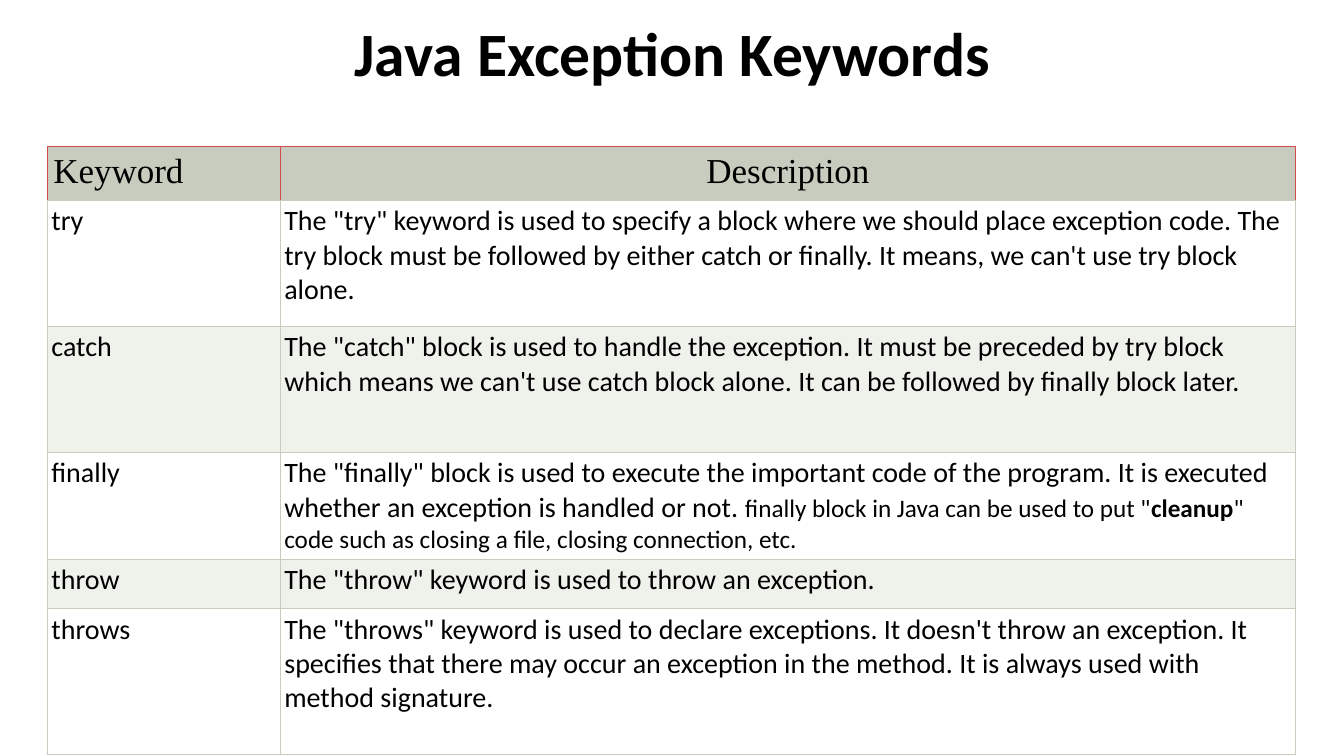
from typing import NamedTuple

from lxml import etree
from pptx import Presentation
from pptx.dml.color import RGBColor
from pptx.enum.text import MSO_ANCHOR, PP_ALIGN
from pptx.oxml.ns import qn
from pptx.util import Inches, Pt

LEFT, CENTER = PP_ALIGN.LEFT, PP_ALIGN.CENTER
MIDDLE = MSO_ANCHOR.MIDDLE
BLACK, WHITE, SAGE, PALE, RED = "000000", "FFFFFF", "C7CCBE", "EFF1EB", "D04C4A"
SIDES = ("lnL", "lnR", "lnT", "lnB")


class Run(NamedTuple):
    text: str
    size: float = 20
    bold: bool = False
    face: str = "Calibri"


class Row(NamedTuple):
    height: float
    word: list[Run]
    about: list[Run]


def color(code: str) -> RGBColor:
    return RGBColor.from_string(code)


def write(para, runs: list[Run], align) -> None:
    para.alignment = align
    for item in runs:
        run = para.add_run()
        run.text = item.text
        form = {"size": Pt(item.size), "bold": item.bold, "name": item.face}
        for key, value in form.items():
            setattr(run.font, key, value)
        run.font.color.rgb = color(BLACK)


def border(cell, codes: tuple[str, ...]) -> None:
    props = cell._tc.get_or_add_tcPr()
    for side, code in zip(SIDES, codes):
        line = etree.SubElement(props, qn(f"a:{side}"), w=str(Pt(0.75)))
        fill = etree.SubElement(line, qn("a:solidFill"))
        etree.SubElement(fill, qn("a:srgbClr"), val=code)


def draw_cell(cell, runs: list[Run], align, pad: float, fill: str,
              edges: tuple[str, ...]) -> None:
    for side in ("left", "right", "top", "bottom"):
        setattr(cell, f"margin_{side}", Inches(pad))
    border(cell, edges)
    cell.fill.solid()
    cell.fill.fore_color.rgb = color(fill)
    write(cell.text_frame.paragraphs[0], runs, align)


def draw_title(slide, text: str) -> None:
    box = slide.shapes.add_textbox(Inches(0.92), Inches(0.15), Inches(11.5), Inches(0.82))
    frame = box.text_frame
    form = {"word_wrap": True, "vertical_anchor": MIDDLE}
    for key, value in form.items():
        setattr(frame, key, value)
    para = frame.paragraphs[0]
    para.line_spacing = 0.9
    write(para, [Run(text, 44, True)], CENTER)


def draw_table(slide, rows: list[Row], widths: tuple[float, ...]) -> None:
    high = sum(row.height for row in rows)
    table = slide.shapes.add_table(len(rows), len(widths), Inches(0.47), Inches(1.45),
                                   Inches(sum(widths)), Inches(high)).table
    for key in ("first_row", "horz_banding"):
        setattr(table, key, False)
    for col, width in zip(table.columns, widths):
        col.width = Inches(width)
    for num, row in enumerate(rows):
        table.rows[num].height = Inches(row.height)
        head = num == 0
        fill = SAGE if head else (PALE, WHITE)[num % 2]
        edges = (RED, RED, RED, SAGE) if head else (SAGE,) * 4
        pad = 0.06 if head else 0.04
        aligns = (LEFT, CENTER if head else LEFT)
        for spot, (runs, align) in enumerate(zip((row.word, row.about), aligns)):
            draw_cell(table.cell(num, spot), runs, align, pad, fill, edges)


ROWS = [
    Row(0.52, [Run("Keyword", 25, face="Times New Roman")],
        [Run("Description", 25, face="Times New Roman")]),
    Row(1.25, [Run("try")], [Run(
        'The "try" keyword is used to specify a block where we should place exception code. '
        "The try block must be followed by either catch or finally. "
        "It means, we can't use try block alone.")]),
    Row(1.25, [Run("catch")], [Run(
        'The "catch" block is used to handle the exception. It must be preceded by try block '
        "which means we can't use catch block alone. "
        "It can be followed by finally block later.")]),
    Row(1.06, [Run("finally")], [
        Run('The "finally" block is used to execute the important code of the program. '
            "It is executed whether an exception is handled or not. "),
        Run('finally block in Java can be used to put "', 18),
        Run("cleanup", 18, True),
        Run('" code such as closing a file, closing connection, etc.', 18)]),
    Row(0.49, [Run("throw")], [Run('The "throw" keyword is used to throw an exception.')]),
    Row(1.45, [Run("throws")], [Run(
        'The "throws" keyword is used to declare exceptions. It doesn\'t throw an exception. '
        "It specifies that there may occur an exception in the method. "
        "It is always used with method signature.")]),
]

deck = Presentation()
deck.slide_width, deck.slide_height = Inches(13.33), Inches(7.5)
slide = deck.slides.add_slide(deck.slide_layouts[6])
draw_title(slide, "Java Exception Keywords")
draw_table(slide, ROWS, (2.31, 10.07))
deck.save("out.pptx")
